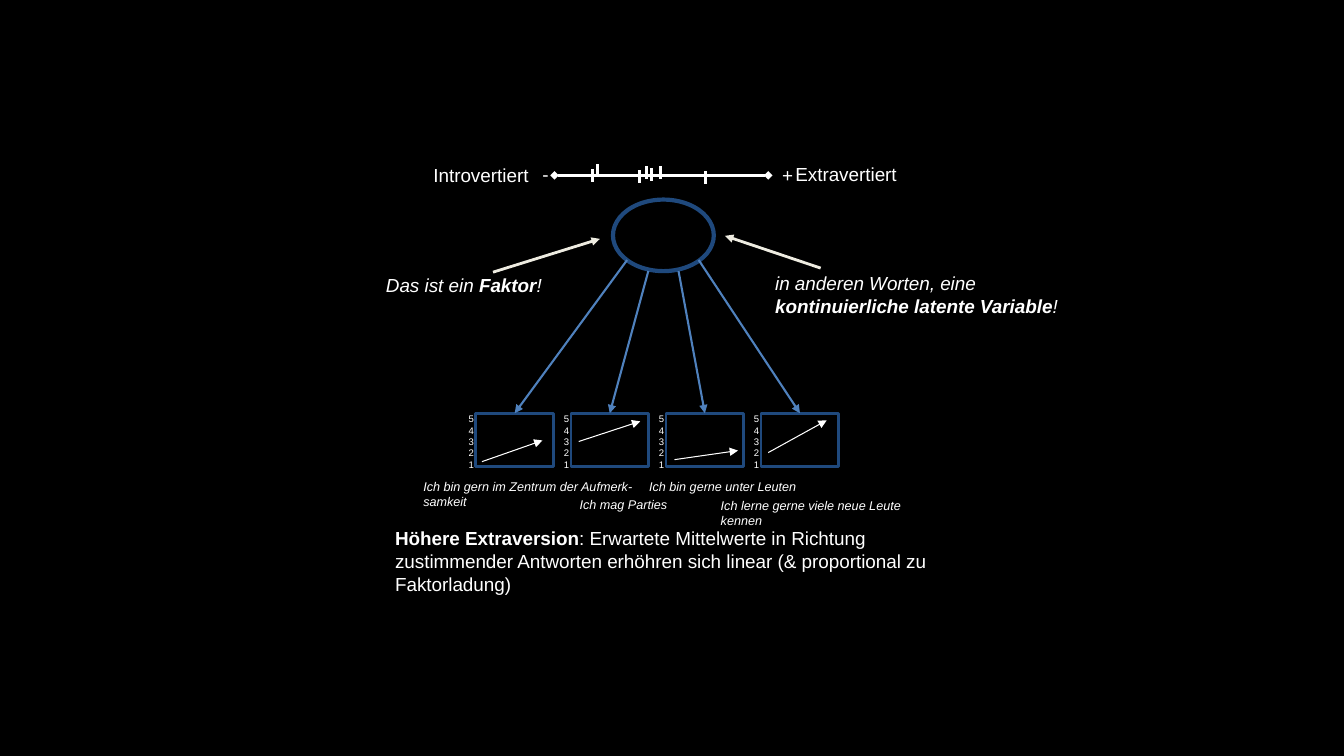
import pptx
import pptx.util
import pptx.dml.color
import pptx.enum.shapes
from lxml import etree
from pptx.oxml.ns import qn
from pptx.util import Inches, Pt

COLORS = {
    "black": "000000",
    "white": "FFFFFF",
    "outline": "1F497D",
    "loading": "4F81BD",
    "pointer": "EEECE1",
}
SHAPES = pptx.enum.shapes.MSO_SHAPE

ITEM_TOP, ITEM_WIDTH, ITEM_HEIGHT = 4.1, 0.77, 0.53
ITEM_LEFT, ITEM_STEP = 4.72, 0.943

# Start of each loading on the factor, then the response line inside the item
ITEMS = [
    ((6.22, 2.58), (4.78, 4.58), (5.38, 4.37)),
    ((6.43, 2.69), (5.74, 4.38), (6.35, 4.18)),
    ((6.73, 2.69), (6.69, 4.56), (7.32, 4.47)),
    ((6.93, 2.58), (7.62, 4.49), (8.2, 4.17)),
]

# Persons on the trait scale: x and top of each tick
PERSONS = [(5.88, 1.68), (5.93, 1.63), (6.34, 1.69), (6.41, 1.65),
           (6.46, 1.67), (6.55, 1.65), (7, 1.7)]
TICK_HEIGHT = 0.13

SCALE_LABELS = [
    ("-", 5.28, 1.56, 0.21),
    ("+", 7.66, 1.57, 0.21),
    ("Introvertiert", 4.2, 1.57, 1.22),
    ("Extravertiert", 7.79, 1.56, 1.24),
]

QUESTIONS = [
    (["Ich bin gern im Zentrum der Aufmerk-", "samkeit"], 4.1, 4.7, 3.13, 0.4),
    (["Ich mag Parties"], 5.65, 4.88, 1.08, 0.25),
    (["Ich bin gerne unter Leuten"], 6.34, 4.7, 1.67, 0.25),
    (["Ich lerne gerne viele neue Leute kennen"], 7.05, 4.89, 2.42, 0.4),
]


def rgb(name):
    return pptx.dml.color.RGBColor.from_string(COLORS[name])


def add_line(page, start, end, color, width, head=None, tail=None):
    """Draw a straight line; head and tail name the ends at start and end."""
    line = page.shapes.add_connector(
        pptx.enum.shapes.MSO_CONNECTOR.STRAIGHT,
        *(Inches(value) for value in (*start, *end)))
    line.line.color.rgb = rgb(color)
    line.line.width = Pt(width)
    outline = line.line._get_or_add_ln()
    for tag, kind in (("a:headEnd", head), ("a:tailEnd", tail)):
        if kind:
            etree.SubElement(outline, qn(tag), type=kind)
    etree.SubElement(line._element.spPr, qn("a:effectLst"))
    return line


def add_outline(page, kind, left, top, width, height, weight):
    shape = page.shapes.add_shape(
        kind, Inches(left), Inches(top), Inches(width), Inches(height))
    shape.shadow.inherit = False
    shape.fill.background()
    shape.line.color.rgb = rgb("outline")
    shape.line.width = Pt(weight)
    return shape


def add_text(page, paragraphs, left, top, width, height, size=13.5, italic=False):
    """Each paragraph is a list of (text, bold) spans."""
    box = page.shapes.add_textbox(
        Inches(left), Inches(top), Inches(width), Inches(height))
    frame = box.text_frame
    frame.word_wrap = True
    for index, spans in enumerate(paragraphs):
        para = frame.add_paragraph() if index else frame.paragraphs[0]
        para.font.name = "Arial"
        para.font.size = Pt(size)
        para.font.italic = italic
        para.font.color.rgb = rgb("white")
        for text, bold in spans:
            span = para.add_run()
            span.text = text
            span.font.name = "Arial"
            span.font.size = Pt(size)
            span.font.italic = italic
            span.font.bold = bold
            span.font.color.rgb = rgb("white")


def plain(lines):
    return [[(line, False)] for line in lines]


def add_scale(page):
    add_line(page, (5.5, 1.74), (7.62, 1.74), "white", 2, "diamond", "diamond")
    for x, top in PERSONS:
        add_line(page, (x, top), (x, top + TICK_HEIGHT), "white", 2)
    for text, left, top, width in SCALE_LABELS:
        add_text(page, plain([text]), left, top, width, 0.33)


def add_item(page, left, loading_start, response_start, response_end):
    item = add_outline(page, SHAPES.RECTANGLE, left, ITEM_TOP,
                       ITEM_WIDTH, ITEM_HEIGHT, 2)
    top_middle = (left + ITEM_WIDTH / 2, ITEM_TOP)
    loading = add_line(page, loading_start, top_middle, "loading", 1.5,
                       tail="triangle")
    loading.end_connect(item, 0)
    add_text(page, plain("54321"), left - 0.17, 4.05, 0.59, 0.67, size=6.8)
    add_line(page, response_start, response_end, "white", 0.75, tail="triangle")


def add_remarks(page):
    add_text(page, [[("Das ist ein ", False), ("Faktor", True), ("!", False)]],
             3.73, 2.67, 1.77, 0.33, italic=True)
    add_line(page, (4.89, 2.7), (5.95, 2.37), "pointer", 2, tail="triangle")
    add_text(page, [[("in anderen Worten, eine ", False),
                     ("kontinuierliche latente Variable", True), ("!", False)]],
             7.59, 2.65, 3.1, 0.56, italic=True)
    add_line(page, (8.14, 2.66), (7.19, 2.34), "pointer", 2, tail="triangle")
    add_text(page, [[("Höhere Extraversion", True),
                     (": Erwartete Mittelwerte in Richtung zustimmender Antworten "
                      "erhöhren sich linear (& proportional zu Faktorladung)", False)]],
             3.82, 5.18, 6.08, 0.78)


def main():
    deck = pptx.Presentation()
    deck.slide_width, deck.slide_height = Inches(13.33), Inches(7.5)
    page = deck.slides.add_slide(deck.slide_layouts[6])
    page.background.fill.solid()
    page.background.fill.fore_color.rgb = rgb("black")

    add_scale(page)
    add_outline(page, SHAPES.OVAL, 6.08, 1.98, 1, 0.71, 3)
    for index, lines in enumerate(ITEMS):
        add_item(page, ITEM_LEFT + index * ITEM_STEP, *lines)
    for lines, *place in QUESTIONS:
        add_text(page, plain(lines), *place, size=9, italic=True)
    add_remarks(page)
    deck.save("out.pptx")


if __name__ == "__main__":
    main()
